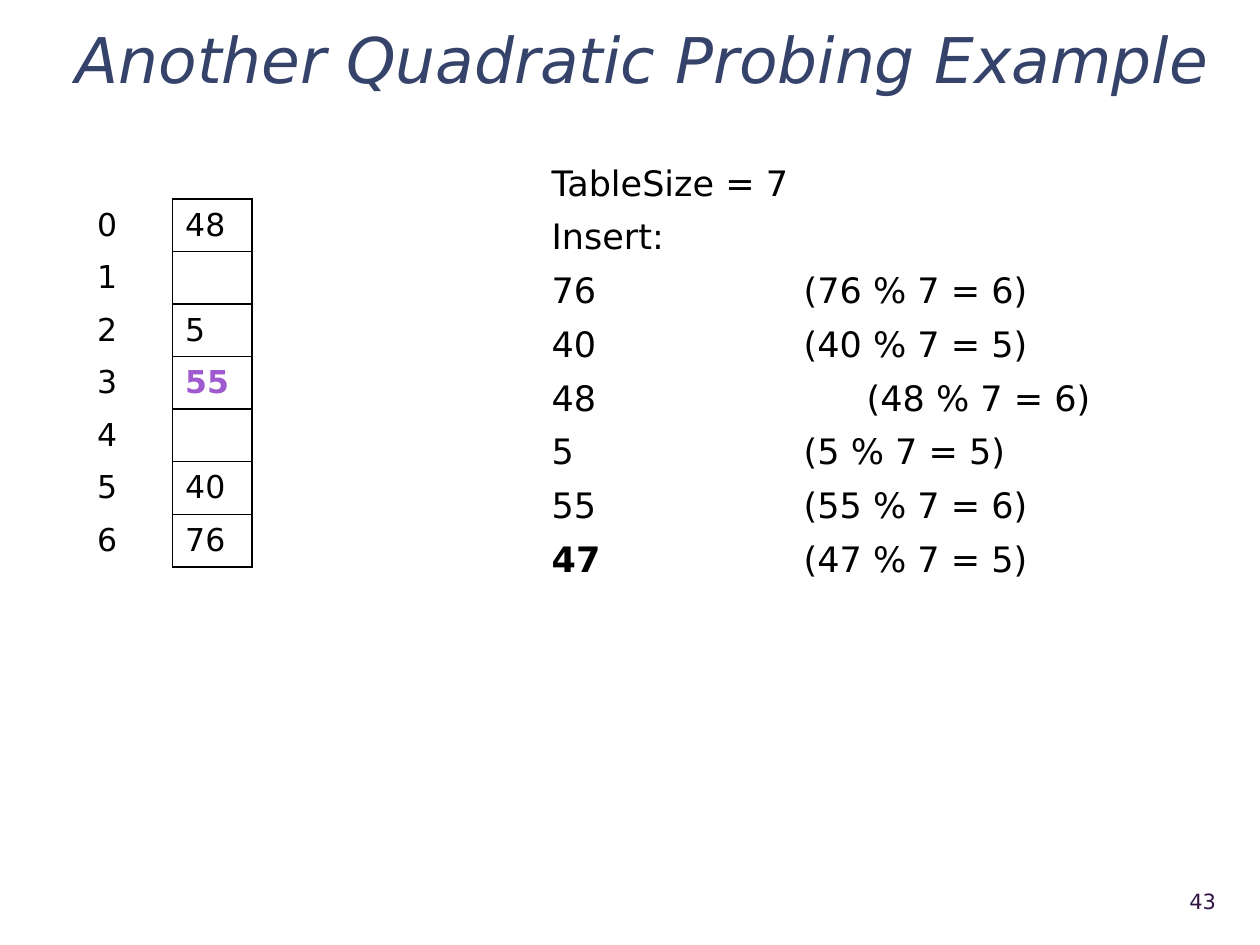
from lxml import etree
from pptx import Presentation
from pptx import util as u
from pptx.dml.color import RGBColor
from pptx.enum import text
from pptx.oxml.ns import qn

FONT = "DejaVu Sans"
COLORS = {"title": "35436A", "number": "2F1343", "text": "000000", "new": "9F5AD0"}
SLOTS = ["48", "", "5", "55", "", "40", "76"]
NEWEST = "55"
KEYS = [76, 40, 48, 5, 55, 47]
NEXT_KEY = 47
INDENTED_KEY = 48


def style(font, size, color, bold=None, italic=None):
    font.name = FONT
    font.size = u.Pt(size)
    font.color.rgb = RGBColor.from_string(COLORS[color])
    font.bold = bold
    font.italic = italic


def add_title(slide, words):
    title = slide.shapes.title
    title.left, title.top = u.Inches(0.5), u.Inches(0.17)
    title.width, title.height = u.Inches(9.25), u.Inches(0.53)
    frame = title.text_frame
    frame.text = words
    frame.auto_size = text.MSO_AUTO_SIZE.NONE
    frame.vertical_anchor = text.MSO_ANCHOR.MIDDLE
    paragraph = frame.paragraphs[0]
    paragraph.alignment = text.PP_ALIGN.LEFT
    paragraph.line_spacing = 1.1
    style(paragraph.font, 36, "title", italic=True)


def add_box(slide, left, top, width, height):
    box = slide.shapes.add_textbox(*map(u.Inches, (left, top, width, height)))
    box.text_frame.word_wrap = True
    return box.text_frame


def add_page_number(slide, number):
    frame = add_box(slide, 8.89, 6.95, 0.86, 0.4)
    frame.vertical_anchor = text.MSO_ANCHOR.MIDDLE
    paragraph = frame.paragraphs[0]
    paragraph.text = number
    paragraph.alignment = text.PP_ALIGN.RIGHT
    style(paragraph.font, 12, "number")


def set_borders(cell, sides):
    properties = cell._tc.get_or_add_tcPr()
    for side in sides:
        line = etree.SubElement(properties, qn(f"a:ln{side}"), w=str(u.Pt(1)))
        fill = etree.SubElement(line, qn("a:solidFill"))
        etree.SubElement(fill, qn("a:srgbClr"), val=COLORS["text"])


def fill_cell(cell, words, sides):
    set_borders(cell, sides)
    cell.fill.background()
    cell.vertical_anchor = text.MSO_ANCHOR.MIDDLE
    cell.text = words
    is_new = words == NEWEST
    style(cell.text_frame.paragraphs[0].font, 18, "new" if is_new else "text", is_new)


def add_hash_table(slide):
    size = len(SLOTS)
    frame = slide.shapes.add_table(
        size, 2, u.Inches(0.67), u.Inches(1.58), u.Inches(1.33), u.Inches(2.92))
    table = frame.table
    table.first_row = table.horz_banding = False
    for column, width in zip(table.columns, (0.7, 0.63)):
        column.width = u.Inches(width)
    for index, value in enumerate(SLOTS):
        fill_cell(table.cell(index, 0), str(index), "R")
        fill_cell(table.cell(index, 1), value, "LRTB")


def set_tab(paragraph, inches):
    tabs = etree.SubElement(paragraph._p.get_or_add_pPr(), qn("a:tabLst"))
    etree.SubElement(tabs, qn("a:tab"), pos=str(u.Inches(inches)), algn="l")


def add_inserts(slide):
    """List the keys to insert, each with its home slot at a tab stop."""
    size = len(SLOTS)
    rows = [(f"TableSize = {size}",), ("Insert:",)]
    rows += [(str(key), f"\t({key} % {size} = {key % size})") for key in KEYS]
    frame = add_box(slide, 4.28, 1.23, 4.82, 4.64)
    for index, row in enumerate(rows):
        paragraph = frame.add_paragraph() if index else frame.paragraphs[0]
        if index:
            paragraph.space_before = u.Pt(6.7)
        if len(row) > 1:
            set_tab(paragraph, 2.5 if row[0] == str(INDENTED_KEY) else 2)
        style(paragraph.font, 20, "text")
        for part in row:
            run = paragraph.add_run()
            run.text = part
            if part == str(NEXT_KEY):
                run.font.bold = True


def main():
    presentation = Presentation()
    presentation.slide_width, presentation.slide_height = u.Inches(10), u.Inches(7.5)
    slide = presentation.slides.add_slide(presentation.slide_layouts[5])
    add_title(slide, "Another Quadratic Probing Example")
    add_page_number(slide, "43")
    add_hash_table(slide)
    add_inserts(slide)
    presentation.save("out.pptx")


if __name__ == "__main__":
    main()
